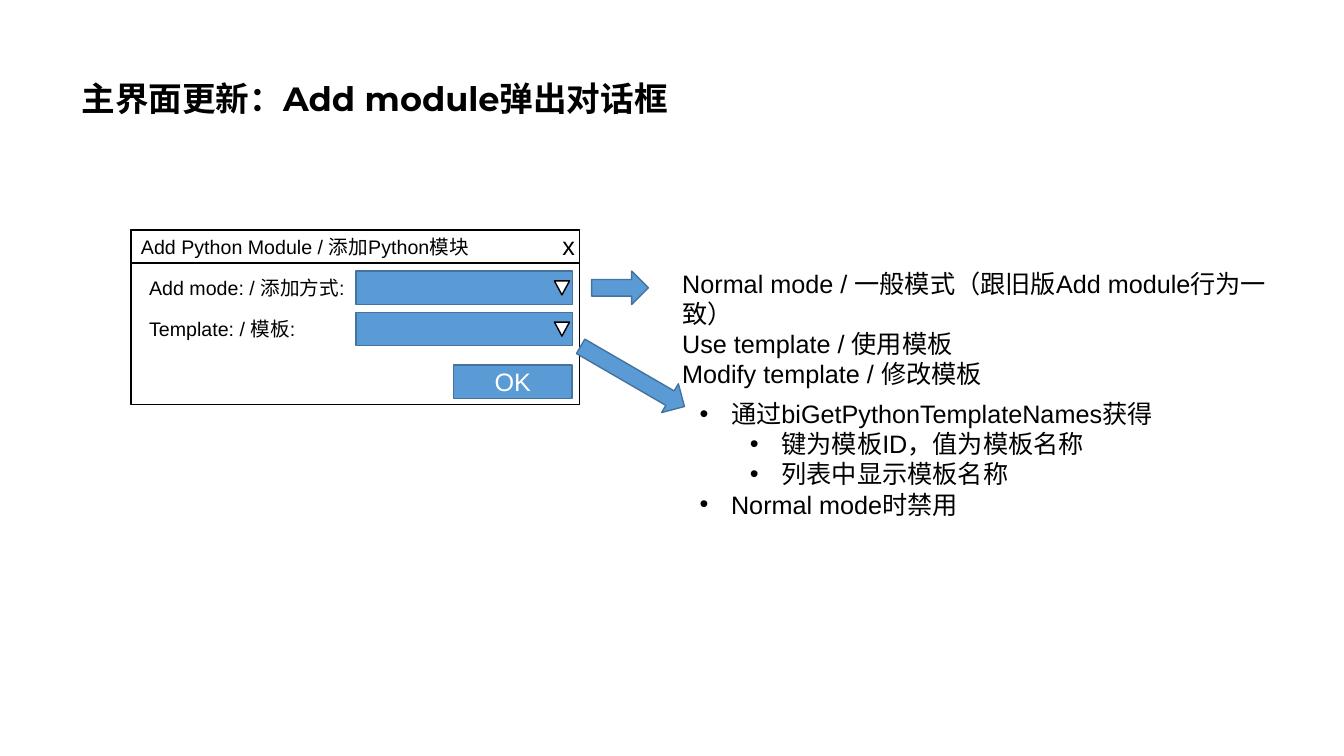
import pptx
import pptx.util
import pptx.dml.color
import pptx.enum.shapes
import pptx.enum.text
from lxml import etree

Pt = pptx.util.Pt
SHAPE = pptx.enum.shapes.MSO_SHAPE
ANCHOR = pptx.enum.text.MSO_ANCHOR
ALIGN = pptx.enum.text.PP_ALIGN
AUTO_SIZE = pptx.enum.text.MSO_AUTO_SIZE

COLORS = {"black": "000000", "white": "FFFFFF", "blue": "5B9BD5", "outline": "43739E"}


def rgb(name):
    return pptx.dml.color.RGBColor.from_string(COLORS[name])


class SlideBuilder:
    font_name = "Arial"
    title_font = "Montserrat"
    bullet_indent = 22.5
    level_step = 36

    def __init__(self, slide):
        self.slide = slide

    def style(self, paragraph, size, color="black", name=None, bold=False):
        font = paragraph.font
        font.name = name or self.font_name
        font.size = Pt(size)
        font.bold = bold
        font.color.rgb = rgb(color)

    def place(self, shape, left, top, width, height):
        shape.left, shape.top = Pt(left), Pt(top)
        shape.width, shape.height = Pt(width), Pt(height)

    def title(self, text, *box):
        shape = self.slide.shapes.title
        self.place(shape, *box)
        frame = shape.text_frame
        frame.text = text
        frame.auto_size = AUTO_SIZE.NONE
        frame.vertical_anchor = ANCHOR.MIDDLE
        paragraph = frame.paragraphs[0]
        paragraph.alignment = ALIGN.LEFT
        paragraph.line_spacing = 0.9
        self.style(paragraph, 24, name=self.title_font, bold=True)

    def bullets(self, items, *box):
        shape = self.slide.placeholders[1]
        self.place(shape, *box)
        frame = shape.text_frame
        frame.text = "\n".join(text for level, text in items)
        frame.auto_size = AUTO_SIZE.NONE
        frame.vertical_anchor = ANCHOR.TOP
        for paragraph, (level, text) in zip(frame.paragraphs, items):
            paragraph.level = level
            paragraph.space_before = Pt(0)
            properties = paragraph._p.get_or_add_pPr()
            properties.set("marL", str(Pt(self.bullet_indent + level * self.level_step)))
            properties.set("indent", str(-Pt(self.bullet_indent)))
            bullet = etree.SubElement(properties, pptx.oxml.ns.qn("a:buChar"))
            bullet.set("char", "•")
            self.style(paragraph, 18)

    def text(self, text, size, *box, wrap=False, right_margin=7.2):
        frame = self.slide.shapes.add_textbox(*map(Pt, box)).text_frame
        frame.text = text
        frame.word_wrap = wrap
        frame.margin_right = Pt(right_margin)
        for paragraph in frame.paragraphs:
            self.style(paragraph, size)

    def shape(self, kind, *box, fill="blue", line="outline", rotation=0):
        shape = self.slide.shapes.add_shape(kind, *map(Pt, box))
        shape.shadow.inherit = False
        shape.fill.solid()
        shape.fill.fore_color.rgb = rgb(fill)
        shape.line.color.rgb = rgb(line)
        shape.line.width = Pt(1)
        shape.rotation = rotation
        return shape

    def caption(self, shape, text, size, color="black", align=ALIGN.LEFT):
        frame = shape.text_frame
        frame.text = text
        frame.vertical_anchor = ANCHOR.MIDDLE
        frame.paragraphs[0].alignment = align
        self.style(frame.paragraphs[0], size, color)

    def dropdown(self, label, label_width, top):
        self.text(label, 14, 99.4, top, label_width, 24.2)
        self.shape(SHAPE.RECTANGLE, 254.2, top, 154.8, ROW_HEIGHT)
        triangle = self.shape(SHAPE.ISOSCELES_TRIANGLE, 396, top + 7, 10.8, 10,
                              fill="white", line="black")
        triangle._element.spPr.get_or_add_xfrm().set("flipV", "1")


ROW_HEIGHT = 23.8
ROW_TOP = 193.7
ROW_PITCH = 29.4
DIALOG = (93.6, 164.2, 320.4)

presentation = pptx.Presentation()
presentation.slide_width, presentation.slide_height = Pt(960), Pt(540)
slide = presentation.slides.add_slide(presentation.slide_layouts[1])
builder = SlideBuilder(slide)

builder.title("主界面更新：Add module弹出对话框", 51, 20, 828, 104.4)

# Dialog window
builder.shape(SHAPE.RECTANGLE, *DIALOG, 124.6, fill="white", line="black")
title_bar = builder.shape(SHAPE.RECTANGLE, *DIALOG, ROW_HEIGHT, fill="white", line="black")
builder.caption(title_bar, "Add Python Module / 添加Python模块", 14)
builder.text("x", 18, 394.6, 161.3, 23.8, 28.8)

# Dialog fields and button
fields = [("Add mode: / 添加方式:", 154.8), ("Template: / 模板:", 119.5)]
for row, (label, width) in enumerate(fields):
    builder.dropdown(label, width, ROW_TOP + row * ROW_PITCH)
ok_button = builder.shape(SHAPE.RECTANGLE, 324, 260.8, 84.6, ROW_HEIGHT)
builder.caption(ok_button, "OK", 18, "white", ALIGN.CENTER)

# Arrows from the fields to their explanations
builder.shape(SHAPE.RIGHT_ARROW, 422.6, ROW_TOP, 40.5, ROW_HEIGHT)
builder.shape(SHAPE.RIGHT_ARROW, 409, 257, 85.7, ROW_HEIGHT, rotation=30.1)

# Explanations
modes = ["Normal mode / 一般模式（跟旧版Add module行为一致）",
         "Use template / 使用模板", "Modify template / 修改模板"]
builder.text("\n".join(modes), 18, 480.2, 187.9, 471.6, 72.7, wrap=True, right_margin=22)
builder.bullets([(0, "通过biGetPythonTemplateNames获得"),
                 (1, "键为模板ID，值为模板名称"),
                 (1, "列表中显示模板名称"),
                 (0, "Normal mode时禁用")], 492.5, 280.8, 341.3, 94.3)

presentation.save("out.pptx")
